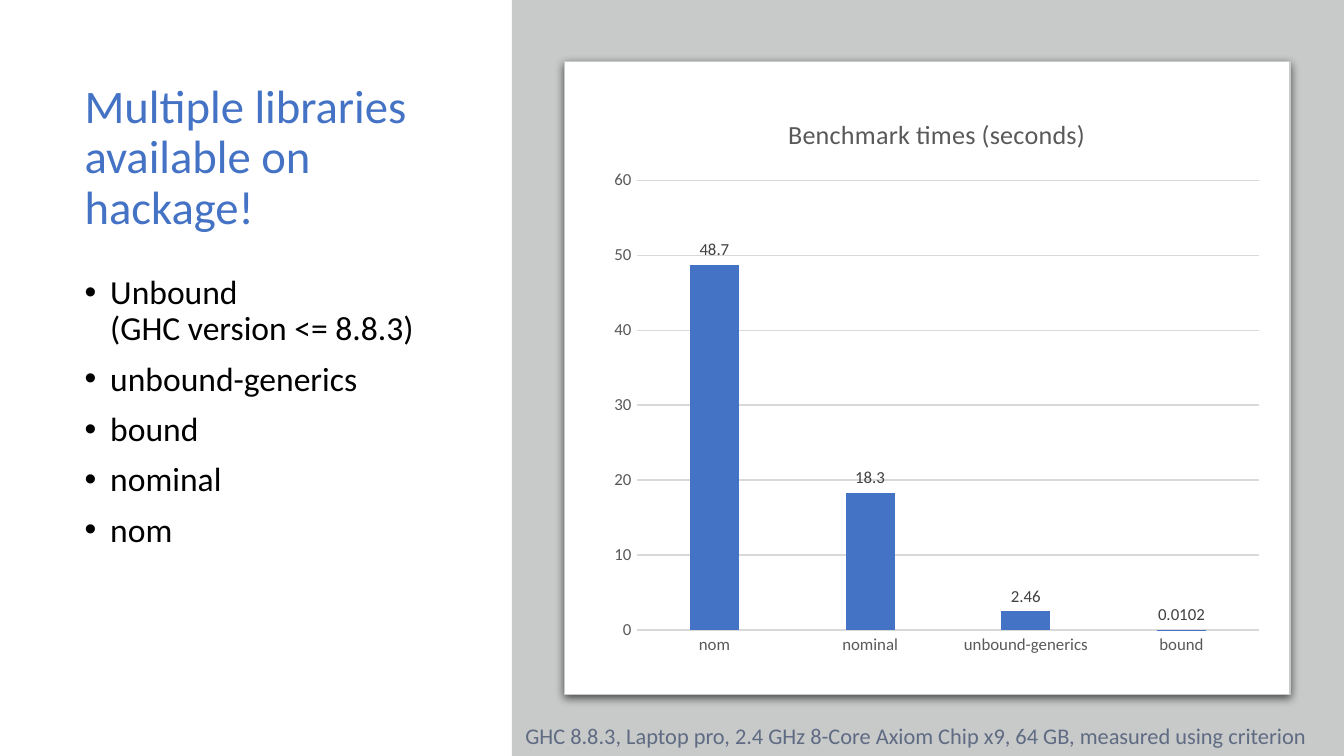
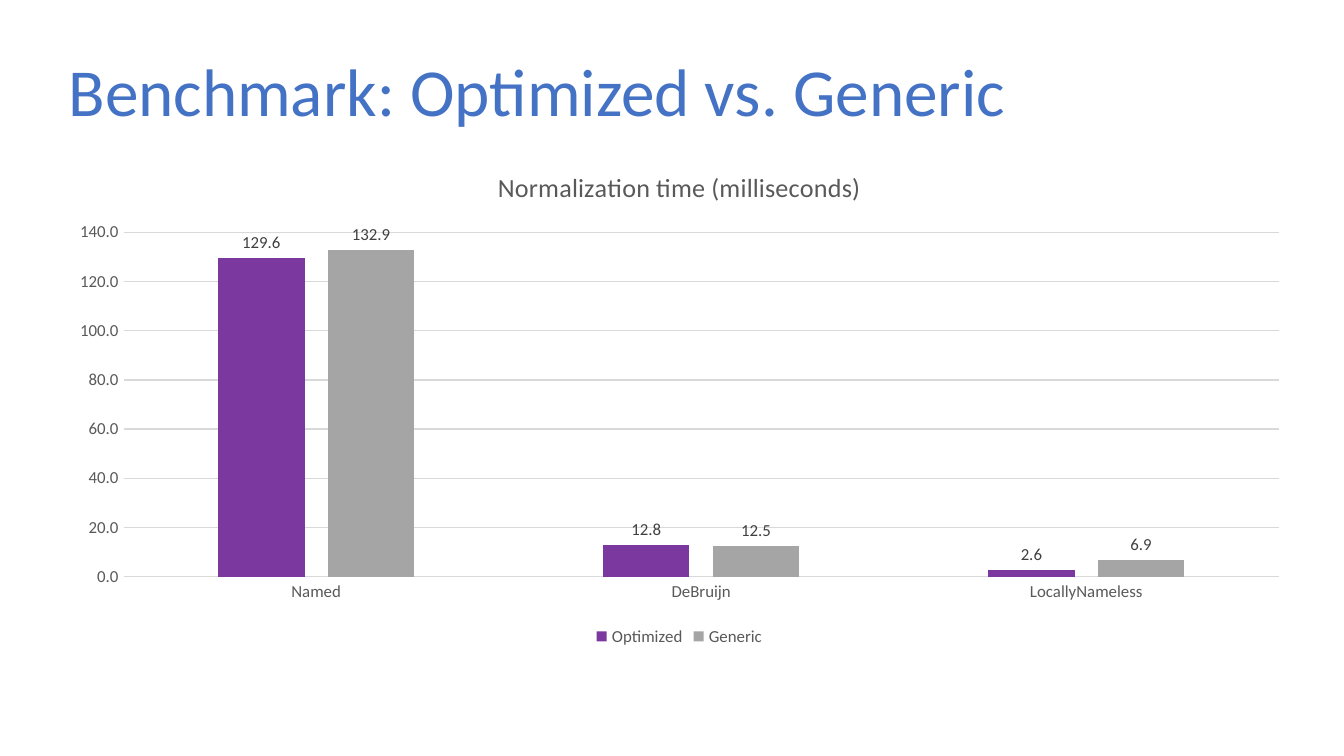
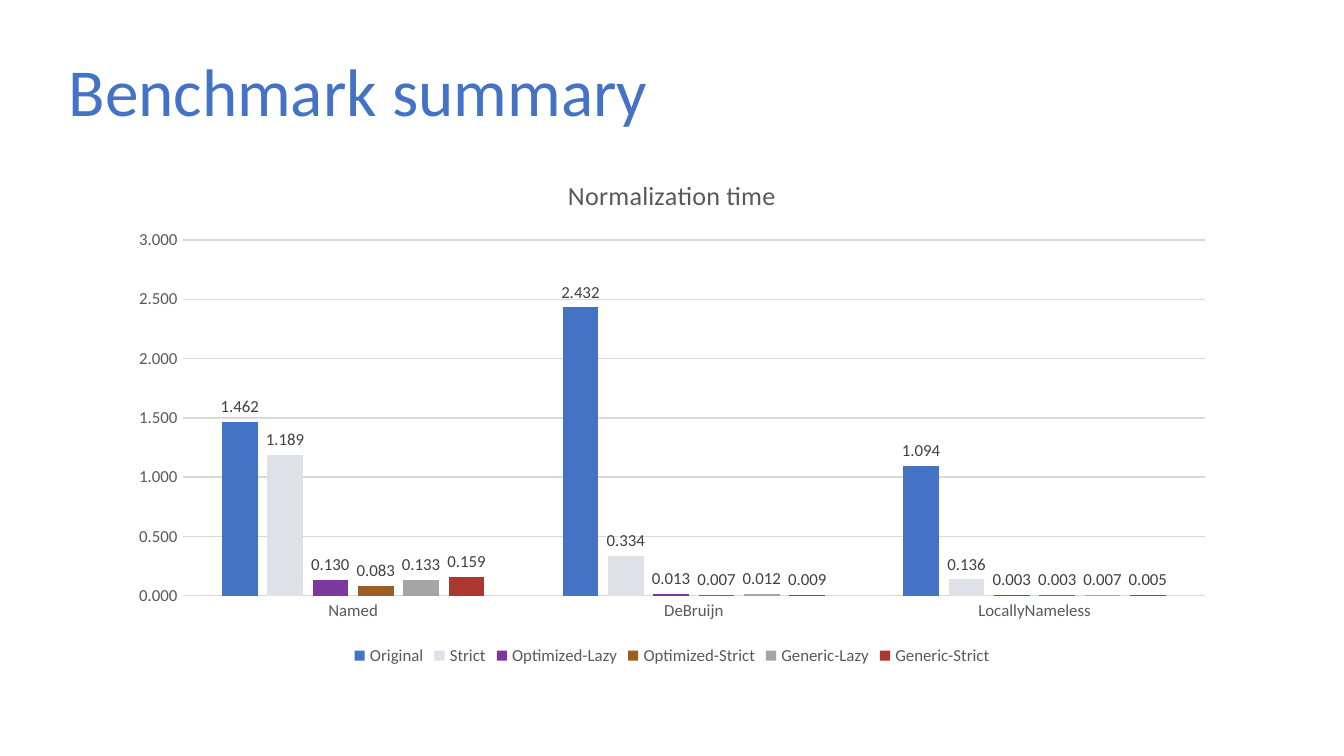
from lxml import etree
from pptx import Presentation
from pptx import util as u
from pptx.chart import data as cd
from pptx.dml.color import RGBColor
from pptx.enum import chart as ch, shapes, text
from pptx.oxml import ns

# Shared look
FONT = "Calibri"
BLUE = RGBColor(0x44, 0x72, 0xC4)
PURPLE = RGBColor(0x7B, 0x38, 0x9E)
BROWN = RGBColor(0x9C, 0x5E, 0x22)
GRAY = RGBColor(0xA5, 0xA5, 0xA5)
RED = RGBColor(0xAB, 0x37, 0x2E)
PALE = RGBColor(0xDE, 0xE1, 0xE7)
PANEL = RGBColor(0xC8, 0xCA, 0xCA)
SLATE = RGBColor(0x5F, 0x6B, 0x83)
GRID = RGBColor(0xD9, 0xD9, 0xD9)
LABEL = RGBColor(0x40, 0x40, 0x40)
MUTED = RGBColor(0x59, 0x59, 0x59)
BLACK = RGBColor(0, 0, 0)
WHITE = RGBColor(0xFF, 0xFF, 0xFF)

WIDE = u.Inches(10)
HIGH = WIDE * 9 // 16
ONLY, BODY = 5, 1  # layouts: title only, title and content
HEAD = (4.1, 4.6, 86.2, 15.8)
KINDS = ["Named", "DeBruijn", "LocallyNameless"]


def area(x, y, w, h):
    """Turn percentages of the slide into left, top, width, height."""
    return [round(v * side / 100)
            for v, side in ((x, WIDE), (y, HIGH), (w, WIDE), (h, HIGH))]


def place(shape, box):
    for name, val in zip(("left", "top", "width", "height"), area(*box)):
        setattr(shape, name, val)


def apply(item, style):
    for name, val in style.items():
        setattr(item, name, val)


def style(font, size, color):
    apply(font, {"name": FONT, "size": u.Pt(size), "bold": False})
    font.color.rgb = color


def rule(line, color):
    line.color.rgb = color
    line.width = u.Pt(0.75)


# Text
def write(shape, lines, size, color, frame=None, para=None):
    tf = shape.text_frame
    tf.text = "\n".join(lines)
    apply(tf, {"word_wrap": True, "auto_size": text.MSO_AUTO_SIZE.NONE,
               **(frame or {})})
    for p in tf.paragraphs:
        apply(p, {"alignment": text.PP_ALIGN.LEFT, **(para or {})})
        for r in p.runs:
            style(r.font, size, color)


def title(slide, words, box=HEAD, size=36):
    shape = slide.shapes.title
    place(shape, box)
    write(shape, [words], size, BLUE,
          {"vertical_anchor": text.MSO_ANCHOR.MIDDLE}, {"line_spacing": 0.9})


def bullets(slide, lines, box):
    shape = slide.placeholders[1]
    place(shape, box)
    write(shape, lines, 18, BLACK, {"vertical_anchor": text.MSO_ANCHOR.TOP},
          {"line_spacing": 0.9, "space_before": u.Pt(7.5)})
    dent = u.Inches(0.19)
    for p in shape.text_frame.paragraphs:
        props = p._p.get_or_add_pPr()
        props.set("marL", str(dent))
        props.set("indent", str(-dent))


def note(slide, words, box):
    write(slide.shapes.add_textbox(*area(*box)), [words], 12, SLATE,
          {"auto_size": text.MSO_AUTO_SIZE.SHAPE_TO_FIT_TEXT})


# Panels
def panel(slide, kind, box, fill):
    shape = slide.shapes.add_shape(kind, *area(*box))
    shape.shadow.inherit = False
    shape.fill.solid()
    shape.fill.fore_color.rgb = fill
    shape.line.fill.background()
    return shape


def card(slide, box):
    shape = panel(slide, shapes.MSO_SHAPE.ROUNDED_RECTANGLE, box, WHITE)
    shape.adjustments[0] = 0
    rule(shape.line, PANEL)
    glow = shape._element.spPr.find(ns.qn("a:effectLst"))
    drop = etree.SubElement(
        glow, ns.qn("a:outerShdw"), blurRad=str(u.Pt(4.5)),
        dist=str(u.Pt(1.5)), dir="5400000", algn="t", rotWithShape="0")
    tint = etree.SubElement(drop, ns.qn("a:srgbClr"), val="000000")
    etree.SubElement(tint, ns.qn("a:alpha"), val="63000")


# Charts
def bars(slide, box, head, cats, rows, top, step, fmt="General"):
    """Draw clustered columns; rows hold (name, color, values)."""
    data = cd.CategoryChartData(number_format=fmt)
    data.categories = cats
    for name, _, vals in rows:
        data.add_series(name, vals)
    chart = slide.shapes.add_chart(
        ch.XL_CHART_TYPE.COLUMN_CLUSTERED, *area(*box), data).chart
    style(chart.font, 10, BLACK)
    chart.has_title = True
    chart.chart_title.include_in_layout = False
    chart.chart_title.text_frame.text = head
    style(chart.chart_title.text_frame.paragraphs[0].runs[0].font, 14, MUTED)

    # Legend
    chart.has_legend = len(rows) > 1
    if chart.has_legend:
        apply(chart.legend, {"position": ch.XL_LEGEND_POSITION.BOTTOM,
                             "include_in_layout": False})
        style(chart.legend.font, 9, MUTED)

    # Axes
    for axis in (chart.category_axis, chart.value_axis):
        apply(axis, {"major_tick_mark": ch.XL_TICK_MARK.NONE,
                     "minor_tick_mark": ch.XL_TICK_MARK.NONE})
        style(axis.tick_labels.font, 9, MUTED)
    rule(chart.category_axis.format.line, GRID)
    axis = chart.value_axis
    apply(axis, {"minimum_scale": 0, "maximum_scale": top,
                 "major_unit": step, "has_major_gridlines": True})
    axis.format.line.fill.background()
    rule(axis.major_gridlines.format.line, GRID)
    number = {"number_format": fmt, "number_format_is_linked": False}
    apply(axis.tick_labels, number)

    # Columns and their labels
    plot = chart.plots[0]
    apply(plot, {"gap_width": 219, "overlap": -27,
                 "vary_by_categories": False})
    for ser, (_, color, _) in zip(plot.series, rows):
        ser.invert_if_negative = False
        ser.format.fill.solid()
        ser.format.fill.fore_color.rgb = color
        tags = ser.data_labels
        apply(tags, {"show_value": True,
                     "position": ch.XL_LABEL_POSITION.OUTSIDE_END, **number})
        style(tags.font, 9, LABEL)


# Slides
def libs(slide):
    title(slide, "Multiple libraries available on hackage!",
          (5.3, 9.2, 28.8, 23.6), 25)
    bullets(slide, ["Unbound\v(GHC version <= 8.8.3)", "unbound-generics",
                    "bound", "nominal", "nom"], (5.3, 35.55, 28.8, 55.1))
    panel(slide, shapes.MSO_SHAPE.RECTANGLE, (38.1, 0, 62, 100), PANEL)
    card(slide, (42, 8.15, 54, 83.7))
    bars(slide, (44.7, 12.25, 50, 75.9), "Benchmark times (seconds)",
         ["nom", "nominal", "unbound-generics", "bound"],
         [("Series 1", BLUE, (48.7, 18.3, 2.46, 0.0102))], 60, 10)
    note(slide, "GHC 8.8.3, Laptop pro, 2.4 GHz 8-Core Axiom Chip x9, 64 GB, "
         "measured using criterion", (38.1, 94.6, 88.2, 5.35))


def versus(slide):
    title(slide, "Benchmark: Optimized vs. Generic")
    bars(slide, (4.1, 19.5, 92.9, 66.7), "Normalization time (milliseconds)",
         KINDS, [("Optimized", PURPLE, (129.6, 12.8, 2.6)),
                 ("Generic", GRAY, (132.9, 12.5, 6.9))], 140, 20, "0.0")


def recap(slide):
    title(slide, "Benchmark summary")
    bars(slide, (8.7, 20.45, 82.6, 68.3), "Normalization time", KINDS,
         [("Original", BLUE, (1.462, 2.432, 1.094)),
          ("Strict", PALE, (1.189, 0.334, 0.136)),
          ("Optimized-Lazy", PURPLE, (0.13, 0.013, 0.003)),
          ("Optimized-Strict", BROWN, (0.083, 0.007, 0.003)),
          ("Generic-Lazy", GRAY, (0.133, 0.012, 0.007)),
          ("Generic-Strict", RED, (0.159, 0.009, 0.005))], 3, 0.5, "0.000")


def main():
    deck = Presentation()
    apply(deck, {"slide_width": WIDE, "slide_height": HIGH})
    for fill, kind in ((libs, BODY), (versus, ONLY), (recap, ONLY)):
        fill(deck.slides.add_slide(deck.slide_layouts[kind]))
    deck.save("out.pptx")


if __name__ == "__main__":
    main()
